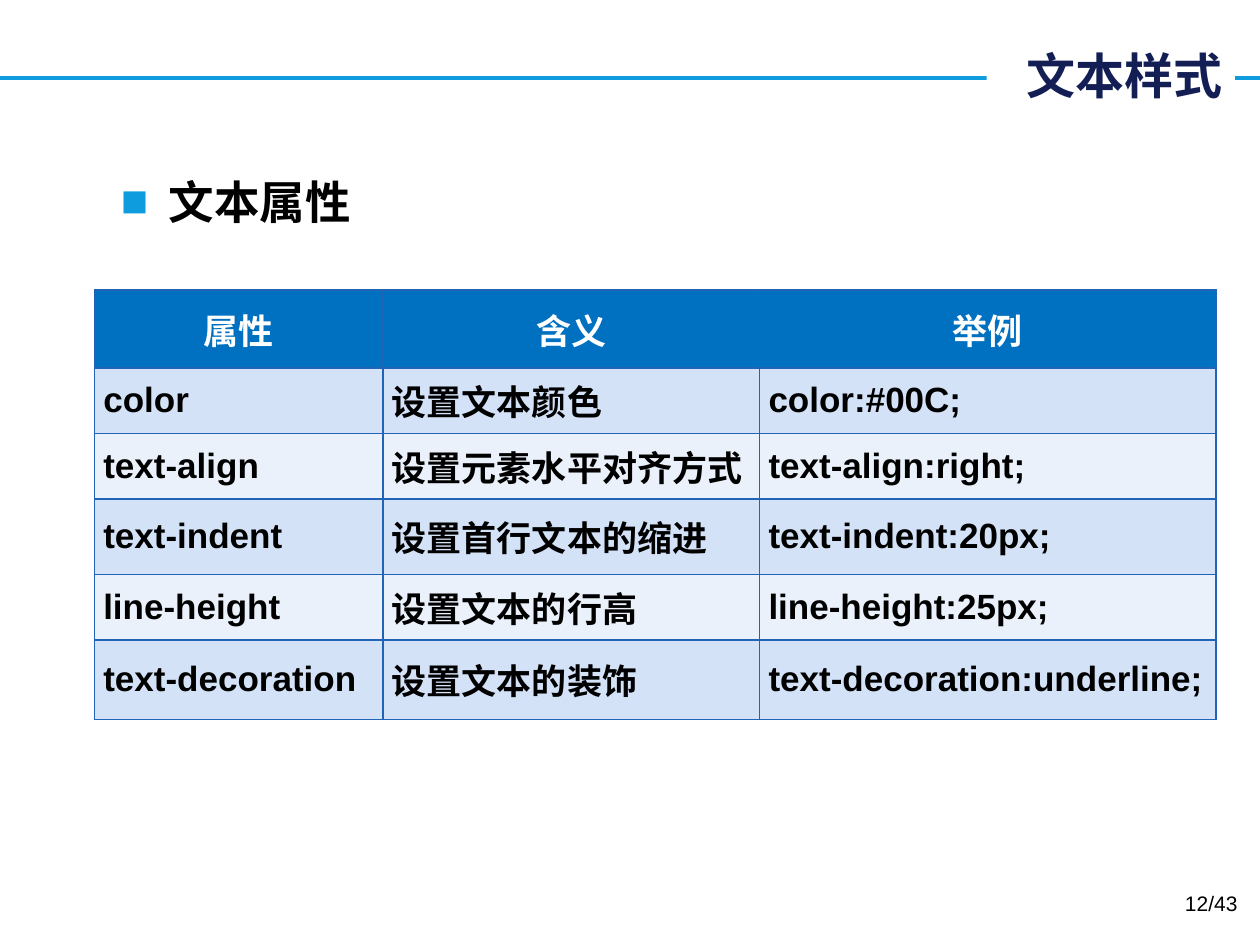
from dataclasses import dataclass

from lxml import etree
from pptx import Presentation
from pptx.dml.color import RGBColor
from pptx.enum.shapes import MSO_CONNECTOR
from pptx.enum.text import MSO_ANCHOR, MSO_AUTO_SIZE, PP_ALIGN
from pptx.oxml.ns import qn
from pptx.util import Inches, Pt


@dataclass(frozen=True)
class Theme:
    latin: str = "Arial"
    cjk: str = "Noto Sans CJK SC"
    white: str = "FFFFFF"
    black: str = "000000"
    navy: str = "121E54"
    accent: str = "0E9CDE"
    header: str = "0070C0"
    border: str = "2163B4"
    bands: tuple = ("D3E2F7", "EAF1FB")
    title_size: int = 28
    body_size: int = 26
    table_size: int = 20
    page_size: int = 12
    rule_width: float = 2.25


THEME = Theme()
COL_WIDTHS = (2.29, 2.99, 3.62)
ROW_HEIGHTS = (0.62, 0.52, 0.52, 0.6, 0.52, 0.63)
ROWS = (
    ("属性", "含义", "举例"),
    ("color", "设置文本颜色", "color:#00C;"),
    ("text-align", "设置元素水平对齐方式", "text-align:right;"),
    ("text-indent", "设置首行文本的缩进", "text-indent:20px;"),
    ("line-height", "设置文本的行高", "line-height:25px;"),
    ("text-decoration", "设置文本的装饰", "text-decoration:underline;"),
)


def rgb(color):
    return RGBColor.from_string(color)


def sub(parent, tag, **attrs):
    return etree.SubElement(parent, qn(tag), attrs)


def place(sp, left, top, width, height):
    sp.left, sp.top = Inches(left), Inches(top)
    sp.width, sp.height = Inches(width), Inches(height)


def write(p, text, size, color, bold=True, font=THEME.latin, align=PP_ALIGN.LEFT):
    p.alignment = align
    p.space_before = Pt(0)
    r = p.add_run()
    r.text = text
    r.font.name, r.font.size, r.font.bold = font, Pt(size), bold
    r.font.color.rgb = rgb(color)
    sub(r._r.get_or_add_rPr(), "a:ea", typeface=THEME.cjk)


def add_header(s, text, left, top, width, height):
    # Rule across the slide, interrupted by the white title box
    y = Inches(top + 0.31)
    rule = s.shapes.add_connector(MSO_CONNECTOR.STRAIGHT, 0, y, Inches(10), y)
    rule.line.color.rgb = rgb(THEME.accent)
    rule.line.width = Pt(THEME.rule_width)
    sub(rule._element.spPr, "a:effectLst")
    s.shapes._spTree.insert(2, rule._element)

    title = s.shapes.title
    place(title, left, top, width, height)
    title.fill.solid()
    title.fill.fore_color.rgb = rgb(THEME.white)
    tf = title.text_frame
    tf.auto_size = MSO_AUTO_SIZE.NONE
    tf.vertical_anchor = MSO_ANCHOR.MIDDLE
    write(tf.paragraphs[0], text, THEME.title_size, THEME.navy,
          font=THEME.cjk, align=PP_ALIGN.RIGHT)


def add_body(s, text, left, top, width, height):
    body = s.placeholders[1]
    place(body, left, top, width, height)
    tf = body.text_frame
    tf.auto_size = MSO_AUTO_SIZE.NONE
    p = tf.paragraphs[0]
    write(p, text, THEME.body_size, THEME.black)
    # Square bullet with a hanging indent
    pPr = p._p.get_or_add_pPr()
    indent = Inches(0.38)
    pPr.set("marL", str(indent))
    pPr.set("indent", str(-indent))
    sub(sub(pPr, "a:buClr"), "a:srgbClr", val=THEME.accent)
    sub(pPr, "a:buFont", typeface=THEME.latin)
    sub(pPr, "a:buChar", char="■")


def set_borders(cell):
    tcPr = cell._tc.get_or_add_tcPr()
    for i, side in enumerate(("a:lnL", "a:lnR", "a:lnT", "a:lnB")):
        ln = sub(tcPr, side, w=str(Pt(1)))
        sub(sub(ln, "a:solidFill"), "a:srgbClr", val=THEME.border)
        tcPr.insert(i, ln)


def add_property_table(s, rows, left, top, width, height):
    frame = s.shapes.add_table(len(rows), len(rows[0]), Inches(left), Inches(top),
                               Inches(width), Inches(height))
    table = frame.table
    for column, w in zip(table.columns, COL_WIDTHS):
        column.width = Inches(w)
    for i, (values, h) in enumerate(zip(rows, ROW_HEIGHTS)):
        table.rows[i].height = Inches(h)
        is_header = i == 0
        fill = THEME.header if is_header else THEME.bands[(i - 1) % 2]
        color = THEME.white if is_header else THEME.black
        align = PP_ALIGN.CENTER if is_header else PP_ALIGN.LEFT
        for cell, value in zip(table.rows[i].cells, values):
            cell.fill.solid()
            cell.fill.fore_color.rgb = rgb(fill)
            cell.margin_left = cell.margin_right = Inches(0.07)
            cell.margin_top = cell.margin_bottom = 0
            cell.vertical_anchor = MSO_ANCHOR.MIDDLE
            write(cell.text_frame.paragraphs[0], value, THEME.table_size, color, align=align)
            set_borders(cell)


def add_page_number(s, text, left, top, width, height):
    sp = s.shapes.add_textbox(Inches(left), Inches(top), Inches(width), Inches(height))
    tf = sp.text_frame
    tf.word_wrap = True
    write(tf.paragraphs[0], text, THEME.page_size, THEME.black,
          bold=False, align=PP_ALIGN.RIGHT)


def main():
    prs = Presentation()
    prs.slide_width, prs.slide_height = Inches(10), Inches(7.5)
    s = prs.slides.add_slide(prs.slide_layouts[1])
    add_header(s, "文本样式", 7.83, 0.31, 1.97, 0.57)
    add_body(s, "文本属性", 0.86, 1.33, 8.36, 5.63)
    add_property_table(s, ROWS, 0.75, 2.3, sum(COL_WIDTHS), sum(ROW_HEIGHTS))
    add_page_number(s, "12/43", 7.59, 7.02, 2.33, 0.4)
    prs.save("out.pptx")


if __name__ == "__main__":
    main()
